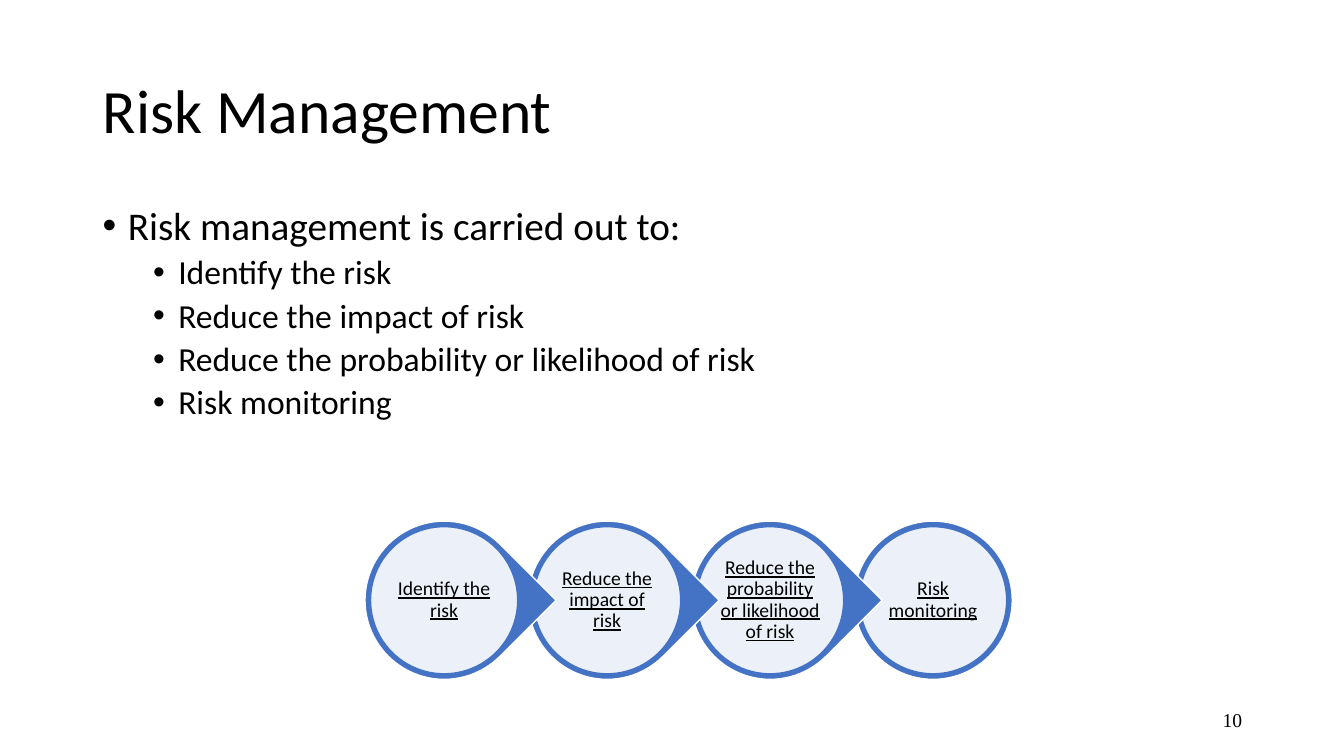
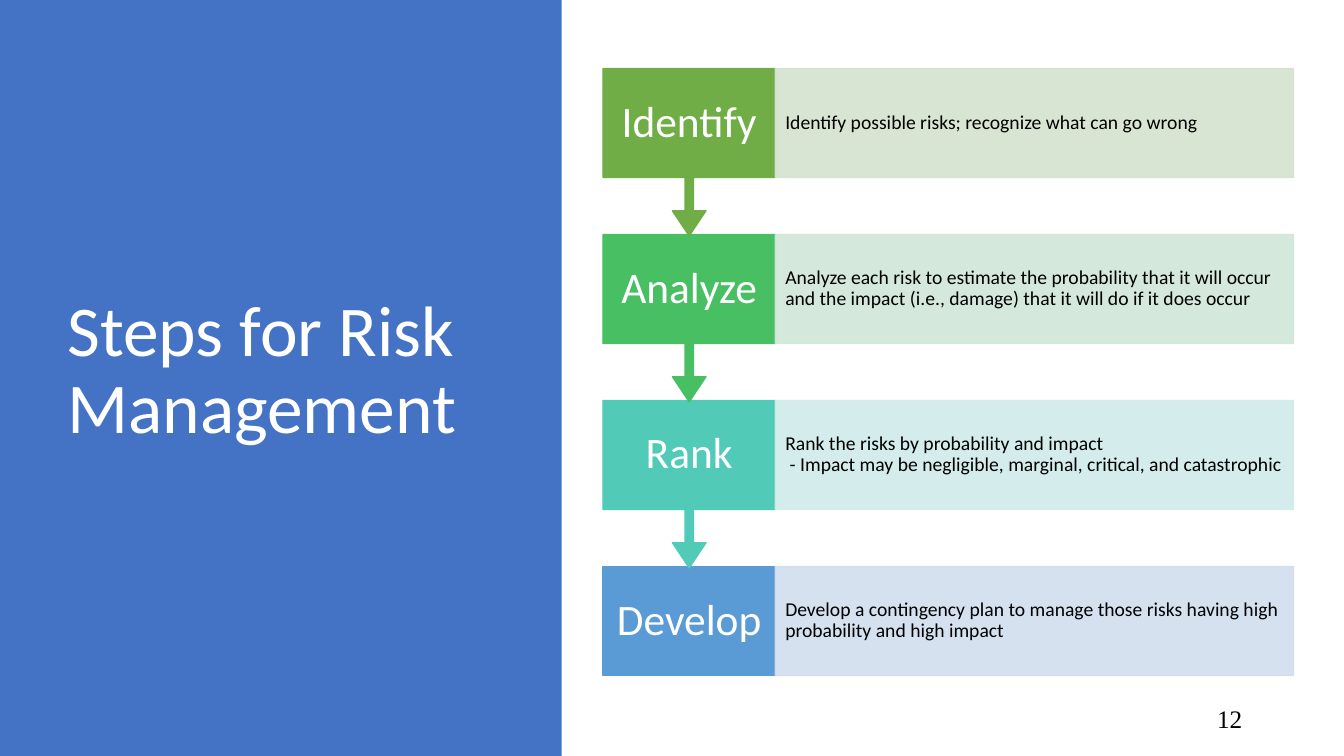
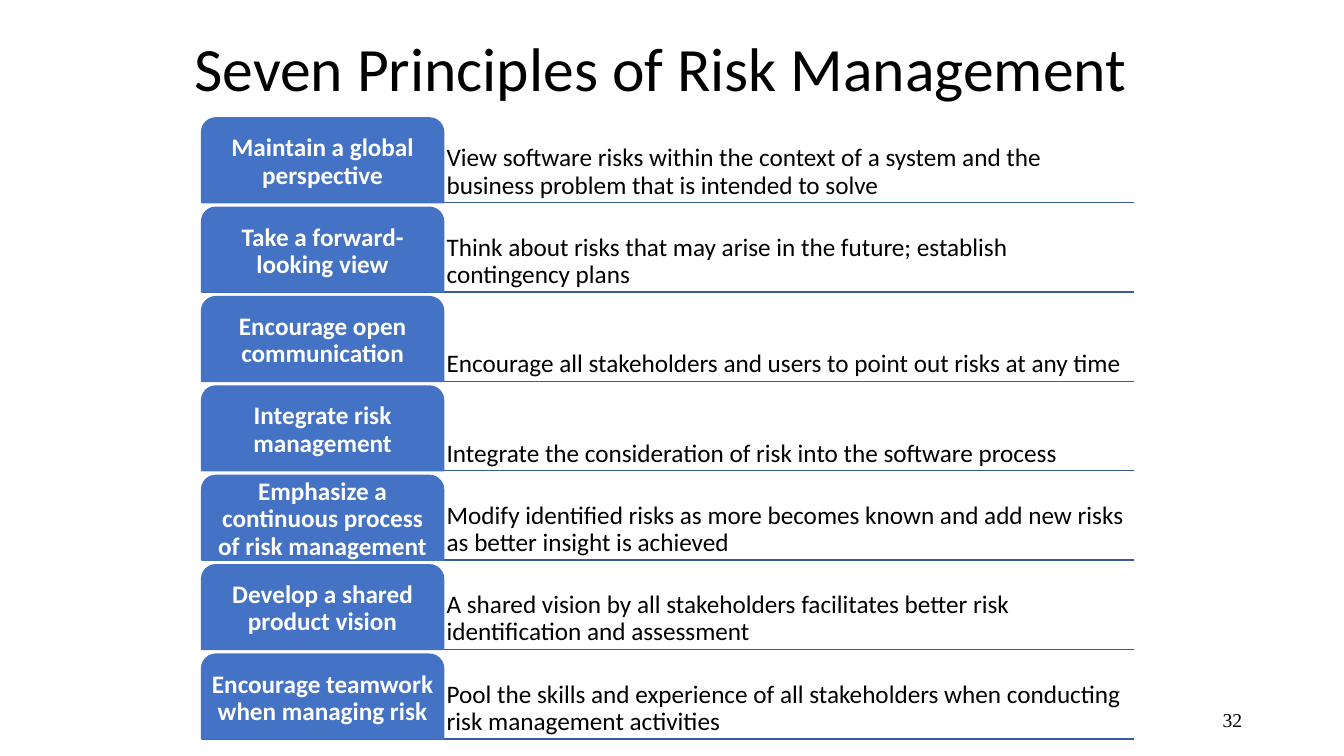
from lxml import etree
from pptx import Presentation
from pptx.dml.color import RGBColor
from pptx.enum.shapes import MSO_CONNECTOR, MSO_SHAPE as Preset
from pptx.enum.text import MSO_ANCHOR as Anchor, MSO_AUTO_SIZE, PP_ALIGN as Align
from pptx.oxml.ns import qn
from pptx.util import Inches, Pt

BLUE, WHITE, BLACK, RULE = "4472C4", "FFFFFF", "000000", "365B9D"
BODY_FONT, NUMBER_FONT = "Calibri", "Times New Roman"
LINE_SPACING = 0.9
DEFAULT_INSETS = (0.1, 0.05, 0.1, 0.05)

PURPOSES = [
    "Identify the risk",
    "Reduce the impact of risk",
    "Reduce the probability or likelihood of risk",
    "Risk monitoring",
]
# Label, label colour, description colour, description lines
STEPS = [
    ("Identify", "70AD47", "D5E3CF",
     ["Identify possible risks; recognize what can go wrong"]),
    ("Analyze", "49BF64", "D0E7D8",
     ["Analyze each risk to estimate the probability that it will occur "
      "and the impact (i.e., damage) that it will do if it does occur"]),
    ("Rank", "52CAB8", "D0ECEA",
     ["Rank the risks by probability and impact",
      " - Impact may be negligible, marginal, critical, and catastrophic"]),
    ("Develop", "5B9BD5", "D2DEEF",
     ["Develop a contingency plan to manage those risks having high "
      "probability and high impact"]),
]
PRINCIPLES = [
    ("Maintain a global perspective",
     "View software risks within the context of a system and the "
     "business problem that is intended to solve"),
    ("Take a forward-looking view",
     "Think about risks that may arise in the future; establish contingency plans"),
    ("Encourage open communication",
     "Encourage all stakeholders and users to point out risks at any time"),
    ("Integrate risk management",
     "Integrate the consideration of risk into the software process"),
    ("Emphasize a continuous process of risk management",
     "Modify identified risks as more becomes known and add new risks "
     "as better insight is achieved"),
    ("Develop a shared product vision",
     "A shared vision by all stakeholders facilitates better risk "
     "identification and assessment"),
    ("Encourage teamwork when managing risk",
     "Pool the skills and experience of all stakeholders when conducting "
     "risk management activities"),
]


# Basic parts
def paint(colour_format, colour, alpha=None):
    colour_format.rgb = RGBColor.from_string(colour)
    if alpha is not None:
        node = colour_format._xFill.find(qn("a:srgbClr"))
        etree.SubElement(node, qn("a:alpha"), val=str(alpha * 1000))


def add_shape(slide, preset, box, fill, line=None, alpha=None, line_alpha=None):
    shape = slide.shapes.add_shape(preset, *map(Inches, box))
    shape.shadow.inherit = False
    shape.fill.solid()
    paint(shape.fill.fore_color, fill, alpha)
    if line:
        shape.line.width = Pt(1)
        shape.line.fill.solid()
        paint(shape.line.fill.fore_color, line, line_alpha)
    else:
        shape.line.fill.background()
    return shape


def prepare_frame(shape, anchor, insets):
    frame = shape.text_frame
    frame.word_wrap = True
    frame.auto_size = MSO_AUTO_SIZE.NONE
    frame.vertical_anchor = anchor
    (frame.margin_left, frame.margin_top,
     frame.margin_right, frame.margin_bottom) = map(Inches, insets)
    return frame


def add_run(paragraph, text, size, colour=BLACK, font=BODY_FONT,
            bold=False, underline=False):
    run = paragraph.add_run()
    run.text = text
    run.font.name, run.font.size = font, Pt(size)
    run.font.bold, run.font.underline = bold, underline
    paint(run.font.color, colour)


def write(shape, lines, size, align=Align.LEFT, anchor=Anchor.MIDDLE,
          insets=DEFAULT_INSETS, **run_style):
    paragraph = prepare_frame(shape, anchor, insets).paragraphs[0]
    paragraph.alignment = align
    paragraph.line_spacing = LINE_SPACING
    for index, line in enumerate(lines):
        if index:
            paragraph.add_line_break()
        add_run(paragraph, line, size, **run_style)


def add_text(slide, box, text, size, **style):
    write(slide.shapes.add_textbox(*map(Inches, box)), [text], size, **style)


# Shared by all slides
def add_slide(presentation, number, number_size=14):
    slide = presentation.slides.add_slide(presentation.slide_layouts[6])
    add_text(slide, (9.42, 6.95, 3, 0.4), number, number_size,
             align=Align.RIGHT, font=NUMBER_FONT)
    return slide


def add_title(slide, box, text, size=44, colour=BLACK):
    add_text(slide, box, text, size, colour=colour)


# Regions
def add_bullets(slide, box, items):
    """Items are pairs of level and text."""
    frame = prepare_frame(slide.shapes.add_textbox(*map(Inches, box)),
                          Anchor.TOP, DEFAULT_INSETS)
    for index, (level, text) in enumerate(items):
        paragraph = frame.add_paragraph() if index else frame.paragraphs[0]
        properties = paragraph._p.get_or_add_pPr()
        properties.set("marL", str(Inches(0.25 + 0.5 * level)))
        properties.set("indent", str(Inches(-0.25)))
        etree.SubElement(properties, qn("a:buFont"), typeface="Arial")
        etree.SubElement(properties, qn("a:buChar"), char="•")
        paragraph.level = level
        paragraph.line_spacing = LINE_SPACING
        if index:
            paragraph.space_before = Pt(5)
        add_run(paragraph, text, 24 if level else 28)


def add_circle_chain(slide, box, labels):
    left, top, width, size = box
    pitch = (width - size) / (len(labels) - 1)
    rim = 0.055
    inner = size - 2 * rim
    # From right to left, so that each point lies over the next circle
    for index, label in reversed(list(enumerate(labels))):
        x = left + index * pitch
        is_last = index == len(labels) - 1
        outer = add_shape(slide, Preset.OVAL if is_last else Preset.TEAR,
                          (x, top, size, size), BLUE, WHITE)
        outer.rotation = 0 if is_last else 45
        disc = add_shape(slide, Preset.OVAL, (x + rim, top + rim, inner, inner),
                         WHITE, BLUE, alpha=90)
        write(disc, [label], 14, align=Align.CENTER, insets=(0.02,) * 4,
              underline=True)


def add_step_rows(slide, box, steps):
    left, top, width, height = box
    row_height, label_width, callout_height = 1.08, 1.71, 1.66
    pitch = (height - row_height) / (len(steps) - 1)
    for index, (label, colour, tint, lines) in reversed(list(enumerate(steps))):
        y = top + index * pitch
        label_box = (left, y, label_width, row_height)
        if index == len(steps) - 1:
            add_shape(slide, Preset.RECTANGLE, label_box, colour, colour)
        else:
            callout = add_shape(slide, Preset.UP_ARROW_CALLOUT,
                                (left, y, label_width, callout_height),
                                colour, colour)
            callout.rotation = 180
            for position, value in enumerate((0.05, 0.1, 0.15, 0.65)):
                callout.adjustments[position] = value
        add_text(slide, label_box, label, 31, align=Align.CENTER,
                 insets=(0.12, 0.24, 0.12, 0.24), colour=WHITE)
        description = add_shape(
            slide, Preset.RECTANGLE,
            (left + label_width, y, width - label_width, row_height),
            tint, tint, alpha=90, line_alpha=90)
        write(description, lines, 14, insets=(0.1, 0.19, 0.1, 0.19))


def add_principle_rows(slide, box, principles):
    left, top, width, height = box
    row_height, tab_width = 0.84, 2.4
    pitch = (height - row_height) / (len(principles) - 1)
    for index, (name, meaning) in enumerate(principles):
        y = top + index * pitch
        bottom = y + row_height
        rule = slide.shapes.add_connector(
            MSO_CONNECTOR.STRAIGHT,
            *map(Inches, (left, bottom, left + width, bottom)))
        rule.line.width = Pt(1)
        rule.line.fill.solid()
        paint(rule.line.fill.fore_color, RULE)
        etree.SubElement(rule._element.spPr, qn("a:effectLst"))
        add_text(slide, (left + tab_width, y, width - tab_width, row_height),
                 meaning, 18, anchor=Anchor.BOTTOM, insets=(0.03,) * 4)
        tab = add_shape(slide, Preset.ROUND_2_SAME_RECTANGLE,
                        (left, y, tab_width, row_height), BLUE, BLUE)
        write(tab, [name], 18, align=Align.CENTER, insets=(0.03,) * 4,
              colour=WHITE, bold=True)


# Slides
def build_purpose_slide(presentation):
    slide = add_slide(presentation, "10")
    add_title(slide, (0.92, 0.4, 11.5, 1.45), "Risk Management")
    add_bullets(slide, (0.92, 2, 11.5, 4.76),
                [(0, "Risk management is carried out to:")]
                + [(1, purpose) for purpose in PURPOSES])
    add_circle_chain(slide, (3.62, 5.17, 6.42, 1.57), PURPOSES)


def build_steps_slide(presentation):
    slide = add_slide(presentation, "12", 18)
    add_shape(slide, Preset.RECTANGLE, (0, 0, 5.57, 7.5), BLUE)
    add_title(slide, (0.57, 0.68, 4.16, 6.02), "Steps for Risk Management",
              51, WHITE)
    add_step_rows(slide, (5.98, 0.68, 6.85, 6.02), STEPS)


def build_principles_slide(presentation):
    slide = add_slide(presentation, "32")
    add_title(slide, (1.83, 0.08, 9.58, 1.25),
              "Seven Principles of Risk Management")
    add_principle_rows(slide, (2, 1.17, 9.25, 6.16), PRINCIPLES)


def main():
    presentation = Presentation()
    presentation.slide_width = Inches(13.33)
    presentation.slide_height = Inches(7.5)
    build_purpose_slide(presentation)
    build_steps_slide(presentation)
    build_principles_slide(presentation)
    presentation.save("out.pptx")


if __name__ == "__main__":
    main()
